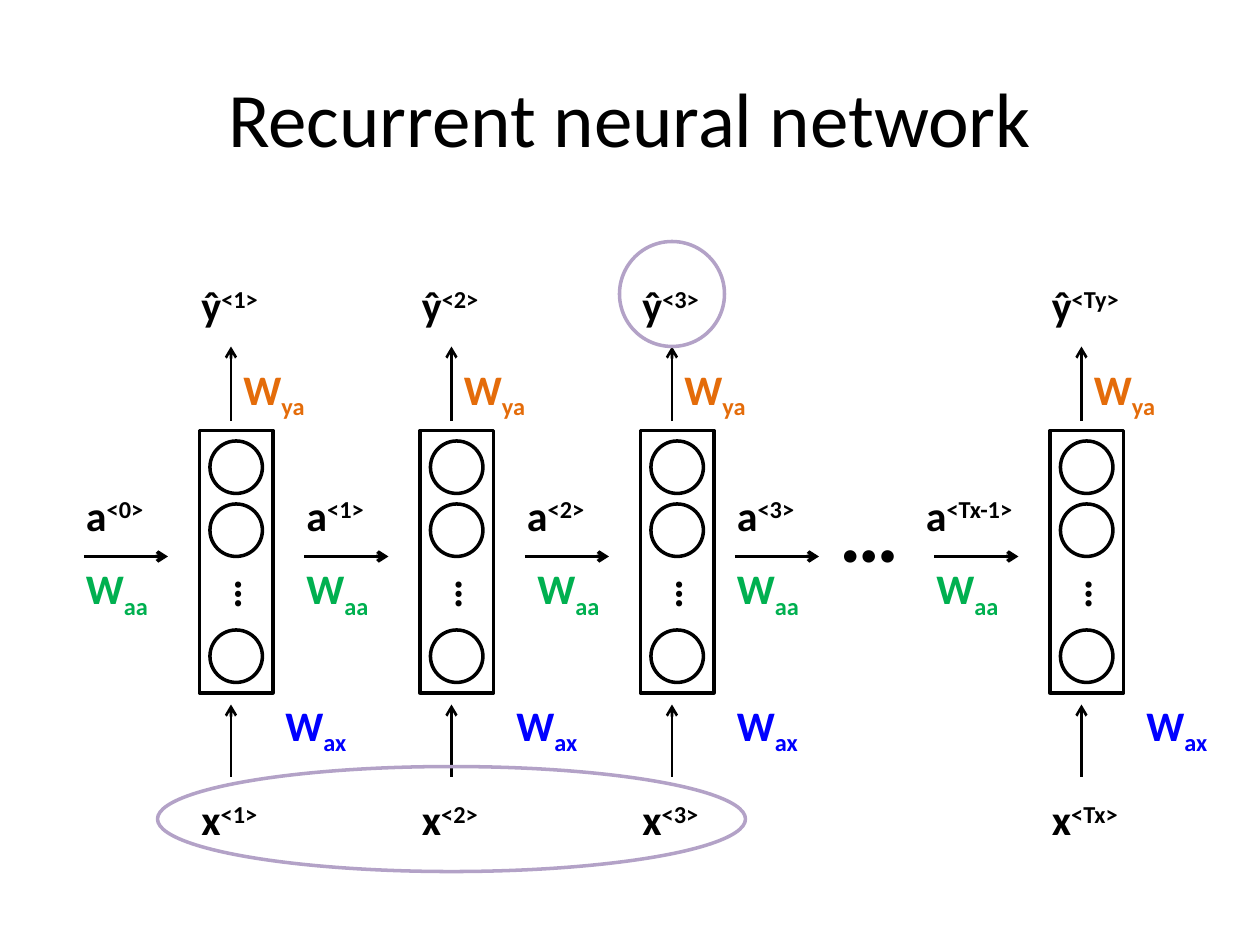
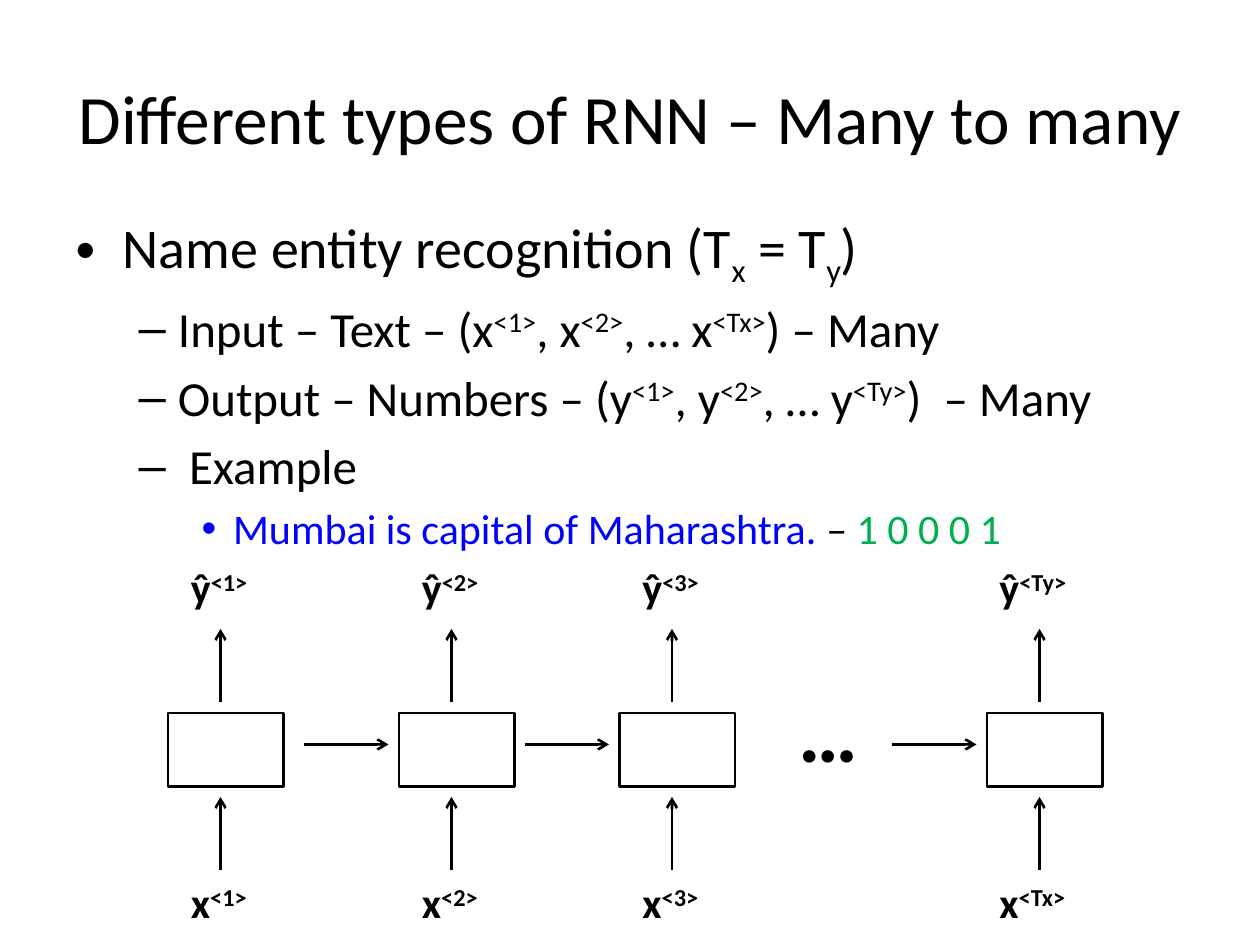
from dataclasses import dataclass

from lxml.etree import SubElement
from pptx import Presentation
from pptx.dml.color import RGBColor
from pptx.enum.shapes import MSO_CONNECTOR, MSO_SHAPE
from pptx.enum.text import MSO_ANCHOR, MSO_AUTO_SIZE, PP_ALIGN
from pptx.oxml.ns import qn
from pptx.util import Emu, Pt

# Shared style
EMU_PER_PX = 7620  # 120 px to the inch
FONT = "Calibri"
COLORS = {
    "ink": "000000",
    "input": "0000FF",
    "state": "00B050",
    "output": "E46C0A",
    "highlight": "B3A2C7",
}
BASELINES = {"^": "30000", "_": "-25000"}
LABEL_WIDTH, LABEL_HEIGHT = 90, 60
ARROW_LENGTH = 80


@dataclass(frozen=True)
class TimeStep:
    """One unrolled step, placed by the x of its vertical arrows."""
    x: int
    input_mark: str
    output_mark: str
    label_left: int
    label_width: int = LABEL_WIDTH
    input_weight_left: int = 0


@dataclass(frozen=True)
class StateArrow:
    """A horizontal arrow with its activation above and weight below."""
    left: int
    mark: str
    label_left: int
    weight_left: int
    label_width: int = LABEL_WIDTH


@dataclass(frozen=True)
class BodyLine:
    level: int
    size: int
    phrases: tuple[tuple[str, str], ...]


NETWORK_STEPS = (
    TimeStep(220, "1", "1", 180, input_weight_left=260),
    TimeStep(430, "2", "2", 390, input_weight_left=480),
    TimeStep(640, "3", "3", 600, input_weight_left=690),
    TimeStep(1030, "Tx", "Ty", 990, 110, 1080),
)
STATE_ARROWS = (
    StateArrow(80, "0", 70, 70),
    StateArrow(290, "1", 280, 280),
    StateArrow(500, "2", 490, 500),
    StateArrow(700, "3", 690, 690),
    StateArrow(890, "Tx-1", 870, 880, 130),
)
MANY_STEPS = (
    TimeStep(210, "1", "1", 170),
    TimeStep(430, "2", "2", 390),
    TimeStep(640, "3", "3", 600),
    TimeStep(990, "Tx", "Ty", 940, 100),
)
BODY_LINES = (
    BodyLine(0, 32, (("Name entity recognition (T|_x| = T|_y|)", "ink"),)),
    BodyLine(1, 28, (("Input – Text – (x|^<1>|, x|^<2>|, … x|^<Tx>|) – Many", "ink"),)),
    BodyLine(1, 28, (("Output – Numbers – (y|^<1>|, y|^<2>|, … y|^<Ty>|)  – Many", "ink"),)),
    BodyLine(1, 28, ((" Example", "ink"),)),
    BodyLine(2, 24, (("Mumbai is capital of Maharashtra.", "input"),
                     (" – ", "ink"), ("1 0 0 0 1", "state"))),
)


# Drawing helpers
def px(length: int) -> Emu:
    return Emu(length * EMU_PER_PX)


def rgb(name: str) -> RGBColor:
    return RGBColor.from_string(COLORS[name])


def write(para, text: str, *, size: float = 24, color: str = "ink", bold: bool = False) -> None:
    """Add text; pieces between bars that start with ^ or _ are raised or lowered."""
    for piece in text.split("|"):
        baseline = BASELINES.get(piece[0])
        span = para.add_run()
        span.text = piece[1:] if baseline else piece
        span.font.name, span.font.size, span.font.bold = FONT, Pt(size), bold
        span.font.color.rgb = rgb(color)
        if baseline:
            span.font._element.set("baseline", baseline)


def add_label(page, text: str, left: int, top: int, width: int = LABEL_WIDTH,
              height: int = LABEL_HEIGHT, *, size: int = 24, color: str = "ink",
              wrap: bool = True, rotation: int = 0):
    box = page.shapes.add_textbox(px(left), px(top), px(width), px(height))
    box.rotation = rotation
    box.text_frame.word_wrap = wrap
    box.text_frame.auto_size = MSO_AUTO_SIZE.SHAPE_TO_FIT_TEXT
    write(box.text_frame.paragraphs[0], text, size=size, color=color, bold=True)
    return box


def add_ellipsis(page, left: int, top: int) -> None:
    add_label(page, "…", left, top, 82, 109, size=48, wrap=False)


def add_outline(page, kind: MSO_SHAPE, left: int, top: int, width: int, height: int,
                *, color: str = "ink", weight: float = 2) -> None:
    shape = page.shapes.add_shape(kind, px(left), px(top), px(width), px(height))
    shape.shadow.inherit = False
    shape.fill.background()
    shape.line.color.rgb = rgb(color)
    shape.line.width = Pt(weight)


def add_arrow(page, x1: int, y1: int, x2: int, y2: int, *, weight: float = 1.5):
    arrow = page.shapes.add_connector(MSO_CONNECTOR.STRAIGHT, px(x1), px(y1), px(x2), px(y2))
    arrow.line.color.rgb = rgb("ink")
    arrow.line.width = Pt(weight)
    properties = arrow._element.spPr
    SubElement(properties.find(qn("a:ln")), qn("a:tailEnd"), type="arrow")
    SubElement(properties, qn("a:effectLst"))
    return arrow


def place(holder, left: int, top: int, width: int, height: int) -> None:
    holder.left, holder.top = px(left), px(top)
    holder.width, holder.height = px(width), px(height)
    holder.text_frame.auto_size = MSO_AUTO_SIZE.NONE


def add_page(deck, layout: int, title: str, *, left: int, width: int, size: float):
    page = deck.slides.add_slide(deck.slide_layouts[layout])
    holder = page.shapes.title
    place(holder, left, 36, width, 150)
    holder.text_frame.vertical_anchor = MSO_ANCHOR.MIDDLE
    para = holder.text_frame.paragraphs[0]
    para.alignment = PP_ALIGN.CENTER
    write(para, title, size=size)
    return page


def add_step_labels(page, step: TimeStep, input_top: int, output_top: int):
    """Label a step's input and output; return the input label."""
    add_label(page, f"ŷ|^<{step.output_mark}>", step.label_left, output_top, step.label_width)
    return add_label(page, f"x|^<{step.input_mark}>", step.label_left, input_top, step.label_width)


# Slide 1: unrolled network with its weights
def build_network(deck) -> None:
    page = add_page(deck, 5, "Recurrent neural network", left=60, width=1080, size=44)
    for step in NETWORK_STEPS:
        add_outline(page, MSO_SHAPE.RECTANGLE, step.x - 30, 410, 70, 250)
        for top in (420, 480, 600):
            add_outline(page, MSO_SHAPE.OVAL, step.x - 20, top, 50, 50)
        add_label(page, "…", step.x + 2, 528, 36, rotation=90)
        add_step_labels(page, step, 750, 260)
        add_arrow(page, step.x, 740, step.x, 671)
        add_arrow(page, step.x, 401, step.x, 330)
        add_label(page, "W|_ax", step.input_weight_left, 660, color="input")
        add_label(page, "W|_ya", step.x, 340, color="output")
    for state in STATE_ARROWS:
        add_label(page, f"a|^<{state.mark}>", state.label_left, 460, state.label_width)
        add_arrow(page, state.left, 530, state.left + ARROW_LENGTH, 530, weight=2)
        add_label(page, "W|_aa", state.weight_left, 530, color="state")
    add_ellipsis(page, 788, 450)
    add_outline(page, MSO_SHAPE.OVAL, 590, 230, 100, 100, color="highlight")
    add_outline(page, MSO_SHAPE.OVAL, 150, 730, 560, 100, color="highlight")


# Slide 2: many-to-many example
def build_many_to_many(deck) -> None:
    page = add_page(deck, 1, "Different types of RNN – Many to many",
                    left=50, width=1100, size=39.6)
    body = page.placeholders[1]
    place(body, 60, 196, 1080, 594)
    for index, line in enumerate(BODY_LINES):
        frame = body.text_frame
        para = frame.add_paragraph() if index else frame.paragraphs[0]
        para.level = line.level
        para.alignment = PP_ALIGN.JUSTIFY
        for text, color in line.phrases:
            write(para, text, size=line.size, color=color)

    for index, step in enumerate(MANY_STEPS):
        cell_left = step.x - 50
        add_outline(page, MSO_SHAPE.RECTANGLE, cell_left, 679, 110, 70, weight=1.5)
        input_label = add_step_labels(page, step, 829, 529)
        add_arrow(page, step.x, 669, step.x, 599)
        input_arrow = add_arrow(page, step.x, 829, step.x, 759)
        if step.label_left + step.label_width // 2 == step.x:
            input_arrow.begin_connect(input_label, 0)
        if index:
            add_arrow(page, cell_left - 10 - ARROW_LENGTH, 709, cell_left - 10, 709)
    add_ellipsis(page, 749, 640)


def main() -> None:
    deck = Presentation()
    deck.slide_width, deck.slide_height = px(1200), px(900)
    build_network(deck)
    build_many_to_many(deck)
    deck.save("out.pptx")


if __name__ == "__main__":
    main()
